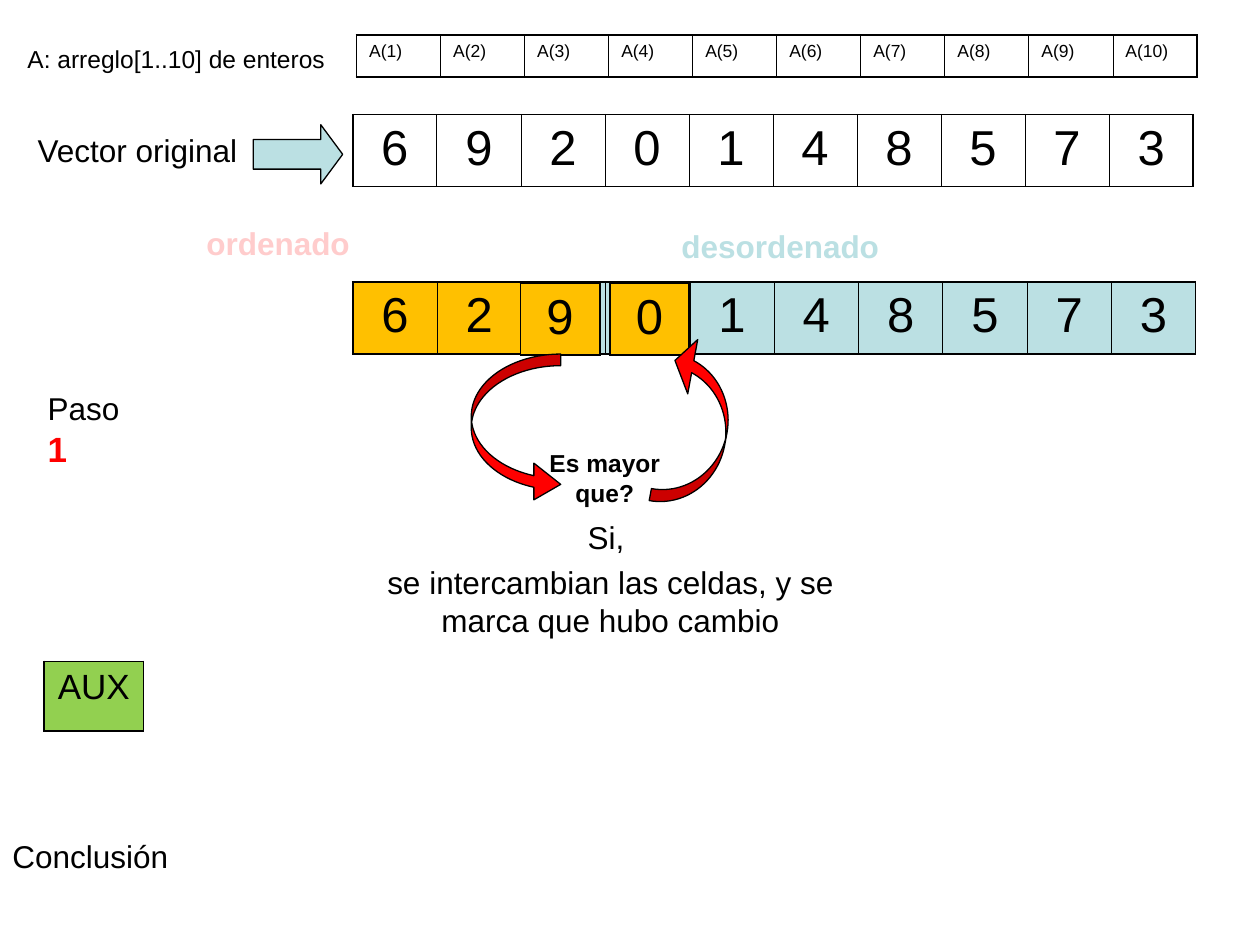
from pptx import Presentation
from pptx import util as u
from pptx.dml.color import RGBColor
from pptx.enum import shapes, text
from pptx.oxml import parse_xml
from pptx.oxml.ns import nsdecls

Inches, Pt = u.Inches, u.Pt
BLACK, AQUA, ORANGE, GREEN, RED, PINK = "000000", "BBE0E3", "FFC000", "92D050", "FF0000", "FFCCCC"
THICK, THIN = 1.08, 0.45
CENTER = text.PP_ALIGN.CENTER


def color(value):
    """Turn a hex string into a colour."""
    return RGBColor.from_string(value)


def style(paragraph, size, ink=BLACK, bold=False, align=None):
    """Format all the text of a paragraph."""
    paragraph.alignment = align
    paragraph.font.name = "Arial"
    paragraph.font.size = Pt(size)
    paragraph.font.bold = bold
    paragraph.font.color.rgb = color(ink)


def add_label(slide, left, top, width, height, lines, size, ink=BLACK, bold=False,
              align=None, wrap=True):
    """Add a text box with one paragraph per line and return its frame."""
    box = slide.shapes.add_textbox(Inches(left), Inches(top), Inches(width), Inches(height))
    frame = box.text_frame
    frame.word_wrap = wrap
    for index, line in enumerate(lines):
        paragraph = frame.add_paragraph() if index else frame.paragraphs[0]
        paragraph.text = line
        style(paragraph, size, ink, bold, align)
        if index:
            paragraph.space_before = Pt(4.5)
    return frame


def add_border(cell, side, points):
    """Draw one border of a cell."""
    cell._tc.get_or_add_tcPr().append(parse_xml(
        f'<a:ln{side} {nsdecls("a")} w="{Pt(points)}"><a:solidFill>'
        f'<a:srgbClr val="{BLACK}"/></a:solidFill></a:ln{side}>'))


def add_cells(slide, left, top, width, height, values, size, fills=None, align=CENTER):
    """Add a one-row table with a thick frame and thin inner lines."""
    count = len(values)
    table = slide.shapes.add_table(
        1, count, Inches(left), Inches(top), Inches(width), Inches(height)).table
    table.first_row = table.horz_banding = False
    for index, value in enumerate(values):
        table.columns[index].width = Inches(width / count)
        cell = table.cell(0, index)
        cell.text = value
        style(cell.text_frame.paragraphs[0], size, align=align)
        add_border(cell, "L", THIN if index else THICK)
        add_border(cell, "R", THIN if index < count - 1 else THICK)
        add_border(cell, "T", THICK)
        add_border(cell, "B", THICK)
        if fills:
            cell.fill.solid()
            cell.fill.fore_color.rgb = color(fills[index])
        else:
            cell.fill.background()


def add_arrow(slide, preset, left, top, width, height, adjustments, fill, rotation=0):
    """Add an outlined block arrow."""
    arrow = slide.shapes.add_shape(
        preset, Inches(left), Inches(top), Inches(width), Inches(height))
    for index, value in enumerate(adjustments):
        arrow.adjustments[index] = value
    arrow.rotation = rotation
    arrow.shadow.inherit = False
    arrow.fill.solid()
    arrow.fill.fore_color.rgb = color(fill)
    arrow.line.color.rgb = color(BLACK)
    arrow.line.width = Pt(0.75)


def add_declaration(slide, left, top, width):
    """Show the array declaration, its indices and the original vector."""
    indices = [f"A({number})" for number in range(1, 11)]
    add_label(slide, left + 0.12, top + 0.02, 2.6, 0.34, ["A: arreglo[1..10] de enteros"], 14)
    add_cells(slide, left + 2.83, top, width, 0.33, indices, 10, align=None)
    add_label(slide, left + 0.2, top + 0.71, 1.81, 0.4, ["Vector original"], 18)
    add_arrow(slide, shapes.MSO_SHAPE.RIGHT_ARROW, left + 2.01, top + 0.71, 0.71, 0.47,
              [0.5, 0.37], AQUA)
    add_cells(slide, left + 2.8, top + 0.63, width, 0.57, list("6920148573"), 28)


def add_sorting(slide, left, top, width):
    """Show the sorted and unsorted parts with the two cells under comparison."""
    add_label(slide, left - 1.26, top - 0.51, 1.34, 0.4, ["ordenado"], 18, PINK, True, wrap=False)
    add_label(slide, left + 2.51, top - 0.49, 1.77, 0.4, ["desordenado"], 18, AQUA, True,
              wrap=False)
    add_cells(slide, left, top, width, 0.57, list("6290148573"), 28, [ORANGE] * 2 + [AQUA] * 8)
    for index, value in enumerate("90"):
        add_cells(slide, left + 1.33 + 0.71 * index, top + 0.01, 0.63, 0.57, [value], 28, [ORANGE])


def add_comparison(slide, left, top):
    """Show the question between two curved arrows and its answer."""
    curved = shapes.MSO_SHAPE.CURVED_RIGHT_ARROW
    add_label(slide, left + 0.47, top + 0.7, 1.18, 0.57, ["Es mayor que?"], 14, bold=True,
              align=CENTER)
    add_arrow(slide, curved, left, top, 0.71, 1.18, [0.13, 0.41, 0.3], RED)
    add_arrow(slide, curved, left + 1.53, top - 0.13, 0.51, 1.35, [0.19, 0.86, 0.29], RED, 190.4)
    add_label(slide, left - 1.02, top + 1.25, 4.25, 1.07,
              ["Si, ", "se intercambian las celdas, y se marca que hubo cambio"], 18, align=CENTER)


def add_progress(slide, left, top):
    """Show the step number, the auxiliary cell and the conclusion."""
    frame = add_label(slide, left + 0.28, top, 0.99, 0.44, ["Paso "], 18, wrap=False)
    number = frame.paragraphs[0].add_run()
    number.text = "1"
    number.font.size = Pt(20)
    number.font.bold = True
    number.font.color.rgb = color(RED)
    add_cells(slide, left + 0.35, top + 2.21, 0.79, 0.55, ["AUX"], 20, [GREEN])
    add_label(slide, left, top + 3.55, 1.89, 0.4, ["Conclusión"], 18)


def main():
    """Build the sorting slide and save it."""
    presentation = Presentation()
    presentation.slide_width, presentation.slide_height = Inches(10), Inches(7.5)
    slide = presentation.slides.add_slide(presentation.slide_layouts[6])
    add_declaration(slide, 0, 0.28, 6.67)
    add_sorting(slide, 2.8, 2.24, 6.69)
    add_progress(slide, 0, 3.04)
    add_comparison(slide, 3.74, 2.81)
    presentation.save("out.pptx")


if __name__ == "__main__":
    main()
